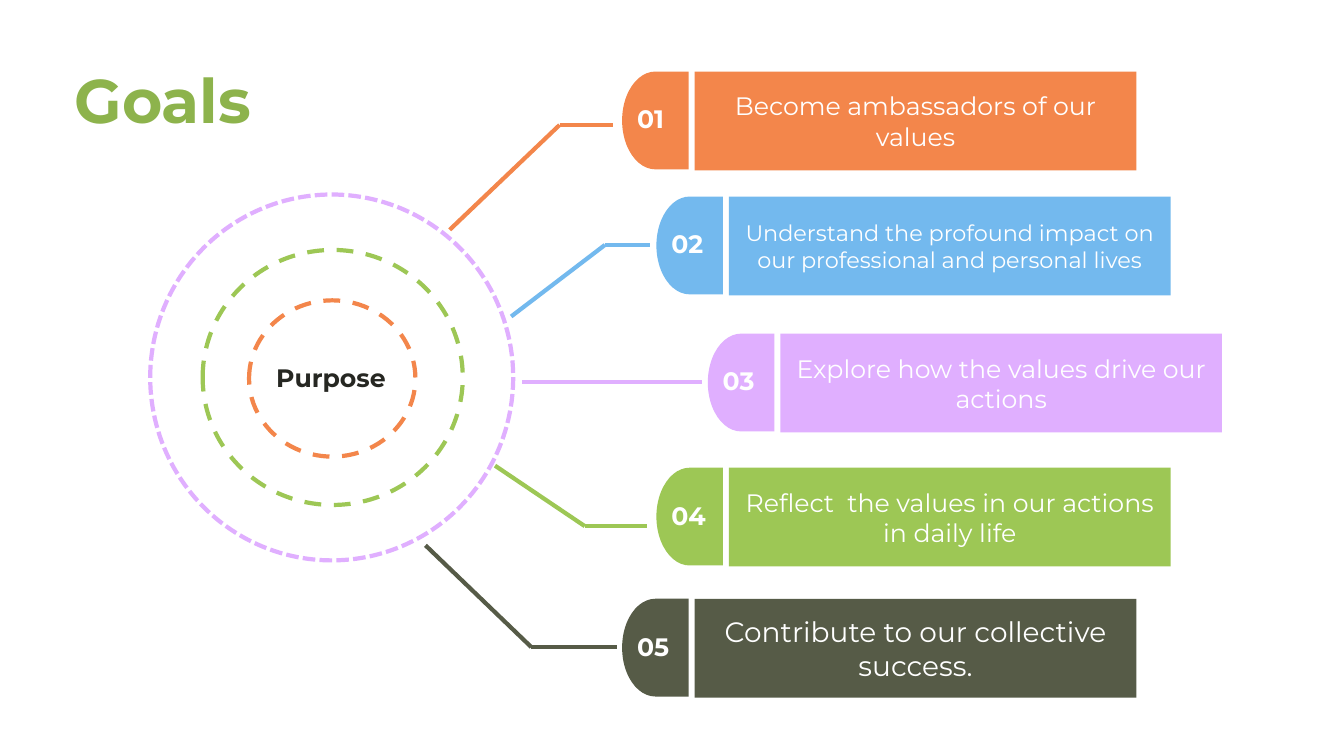
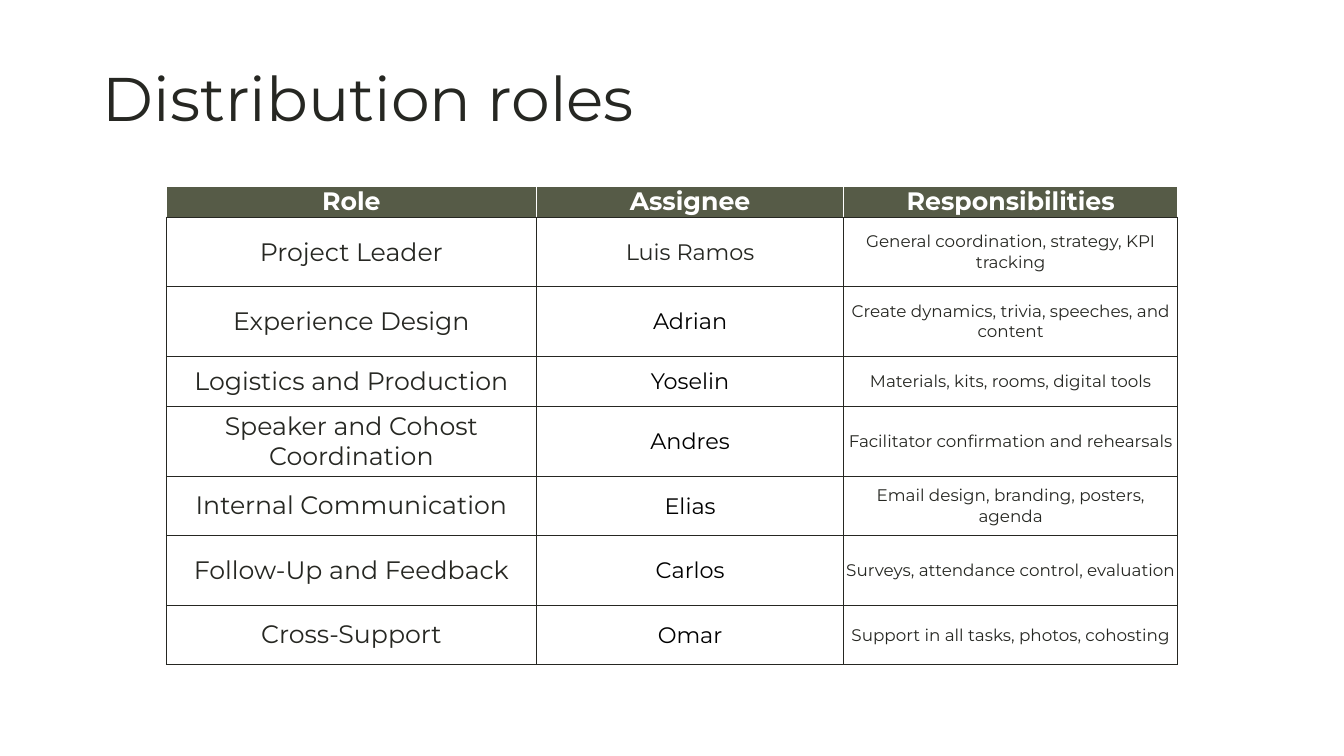
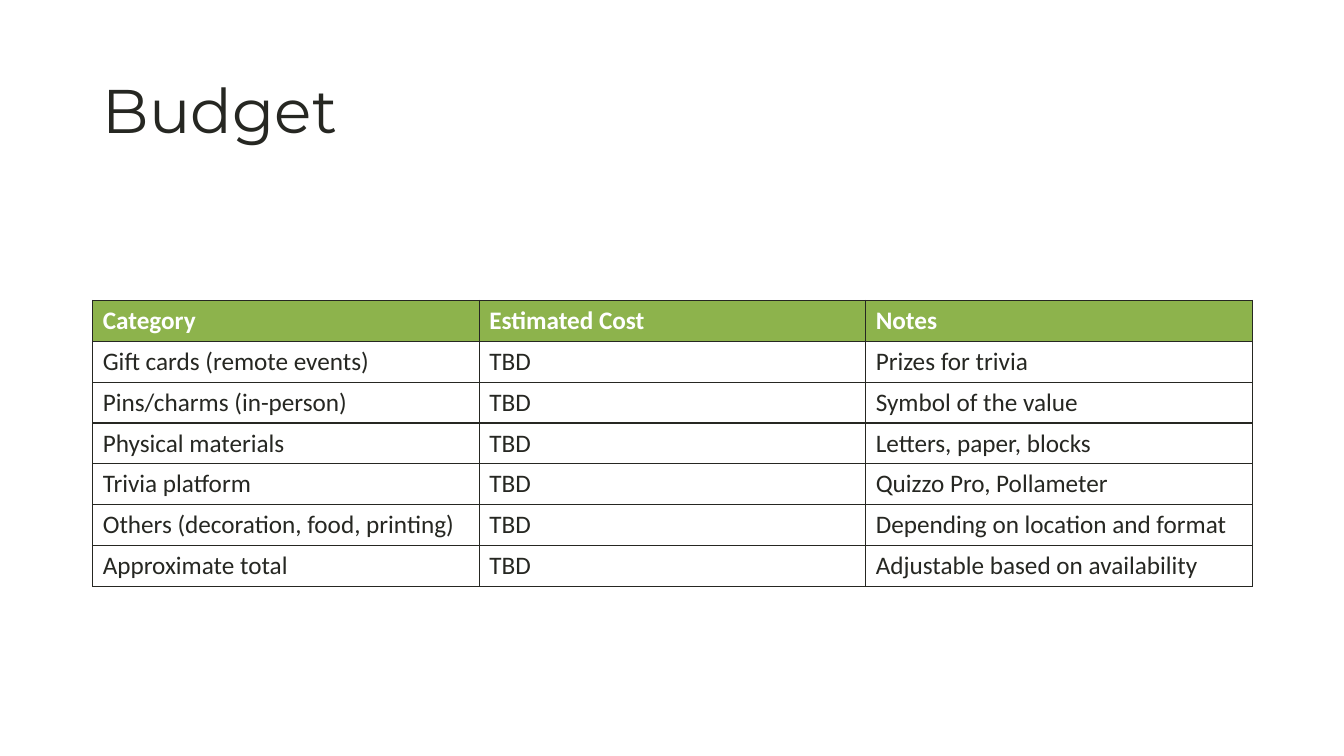
from dataclasses import dataclass
from itertools import pairwise

from lxml.etree import SubElement
from pptx import Presentation
from pptx.dml.color import RGBColor
from pptx.enum.dml import MSO_LINE
from pptx.enum.shapes import MSO_CONNECTOR, MSO_SHAPE
from pptx.enum.text import MSO_ANCHOR, MSO_AUTO_SIZE, PP_ALIGN
from pptx.oxml import parse_xml
from pptx.oxml.ns import nsdecls, qn
from pptx.util import Inches, Pt


@dataclass(frozen=True)
class Theme:
    heading_font: str = "Montserrat"
    table_font: str = "Calibri"
    ink: str = "262722"
    black: str = "000000"
    white: str = "FFFFFF"
    leaf: str = "8DB34C"
    orange: str = "F3864B"
    blue: str = "73B9EE"
    lilac: str = "E0AFFF"
    green: str = "9DC755"
    olive: str = "565B47"
    title_size: int = 44
    large_size: int = 20
    text_size: int = 18
    medium_size: int = 16
    small_size: int = 12
    stroke: int = 3
    border: int = 1


THEME = Theme()


class DeckBuilder:
    """Draw themed elements on the current slide of a deck."""

    def __init__(self, theme):
        self.theme = theme
        self.deck = Presentation()
        self.deck.slide_width = Inches(13.33)
        self.deck.slide_height = Inches(7.5)
        self.page = None

    def new_page(self, title, area, color=THEME.ink, bold=False, spacing=0.9):
        self.page = self.deck.slides.add_slide(self.deck.slide_layouts[5])
        box = self.page.shapes.title
        box.left, box.top, box.width, box.height = map(Inches, area)
        frame = box.text_frame
        frame.auto_size = MSO_AUTO_SIZE.NONE
        frame.vertical_anchor = MSO_ANCHOR.MIDDLE
        self.set_text(frame, title, self.theme.title_size, color, bold)
        frame.paragraphs[0].line_spacing = spacing

    def set_text(self, frame, text, size, color, bold=False,
                 align=PP_ALIGN.LEFT, font=THEME.heading_font):
        frame.text = text
        para = frame.paragraphs[0]
        para.alignment = align
        para.font.name = font
        para.font.size = Pt(size)
        para.font.bold = bold
        para.font.color.rgb = RGBColor.from_string(color)

    def shape(self, kind, area, fill):
        shape = self.page.shapes.add_shape(kind, *map(Inches, area))
        shape.shadow.inherit = False
        shape.fill.solid()
        shape.fill.fore_color.rgb = RGBColor.from_string(fill)
        shape.line.fill.background()
        return shape

    def ring(self, area, color, dash):
        ring = self.shape(MSO_SHAPE.OVAL, area, self.theme.white)
        ring.line.color.rgb = RGBColor.from_string(color)
        ring.line.width = Pt(self.theme.stroke)
        ring.line.dash_style = dash

    def label(self, text, area, color):
        box = self.page.shapes.add_textbox(*map(Inches, area))
        box.text_frame.word_wrap = False
        self.set_text(box.text_frame, text, self.theme.text_size, color, True)

    def polyline(self, points, color):
        for start, end in pairwise(points):
            line = self.page.shapes.add_connector(
                MSO_CONNECTOR.STRAIGHT, *map(Inches, start + end))
            line.line.color.rgb = RGBColor.from_string(color)
            line.line.width = Pt(self.theme.stroke)
            SubElement(line._element.spPr, qn("a:effectLst"))

    def goal(self, number, text, left, top, color, size, points):
        self.polyline(points, color)
        tab = self.shape(MSO_SHAPE.FLOWCHART_DELAY, (left, top, 0.66, 0.97), color)
        tab.rotation = 180
        bar = self.shape(MSO_SHAPE.RECTANGLE, (left + 0.72, top, 4.38, 0.98), color)
        bar.text_frame.word_wrap = True
        bar.text_frame.vertical_anchor = MSO_ANCHOR.MIDDLE
        self.set_text(bar.text_frame, text, size, self.theme.white,
                      align=PP_ALIGN.CENTER)
        self.label(f"{number:02}", (left + 0.05, top + 0.27, 0.6, 0.4), self.theme.white)

    def borders(self, cell, colors):
        properties = cell._tc.get_or_add_tcPr()
        for index, (side, color) in enumerate(zip("LRTB", colors)):
            properties.insert(index, parse_xml(
                f'<a:ln{side} {nsdecls("a")} w="{Pt(self.theme.border)}">'
                f'<a:solidFill><a:srgbClr val="{color}"/></a:solidFill></a:ln{side}>'))

    def table(self, rows, left, top, widths, heights, head_fill, head_edges,
              sizes, colors, font, align=PP_ALIGN.LEFT, inset=None):
        area = (left, top, sum(widths), sum(heights))
        table = self.page.shapes.add_table(
            len(rows), len(widths), *map(Inches, area)).table
        table.horz_banding = False
        for column, width in zip(table.columns, widths):
            column.width = Inches(width)
        for row, height in zip(table.rows, heights):
            row.height = Inches(height)
        for r, texts in enumerate(rows):
            for c, text in enumerate(texts):
                cell = table.cell(r, c)
                cell.vertical_anchor = MSO_ANCHOR.MIDDLE
                if inset is not None:
                    cell.margin_left = cell.margin_right = Inches(inset)
                    cell.margin_top = cell.margin_bottom = Inches(inset)
                if r == 0:
                    cell.fill.solid()
                    cell.fill.fore_color.rgb = RGBColor.from_string(head_fill)
                    size, color = self.theme.text_size, self.theme.white
                    edges = head_edges
                else:
                    cell.fill.background()
                    size, color = sizes[c], colors[c]
                    edges = [self.theme.ink] * 4
                self.set_text(cell.text_frame, text, size, color, r == 0, align, font)
                self.borders(cell, edges)
        return table


def goals_page(builder):
    theme = builder.theme
    builder.new_page("Goals", (0.64, 0.56, 3.81, 0.84), theme.leaf, True, 1.0)
    builder.ring((1.49, 1.93, 3.6, 3.63), theme.lilac, MSO_LINE.SQUARE_DOT)
    builder.ring((2.01, 2.48, 2.58, 2.53), theme.green, MSO_LINE.DASH)
    builder.ring((2.47, 2.98, 1.65, 1.55), theme.orange, MSO_LINE.DASH)
    builder.label("Purpose", (2.64, 3.55, 1.3, 0.4), theme.ink)
    goals = [
        ("Become ambassadors of our values", 6.17, 0.71, theme.orange,
         theme.text_size, [(4.46, 2.28), (5.55, 1.24), (6.08, 1.24)]),
        ("Understand the profound impact on our professional and personal lives",
         6.51, 1.95, theme.blue,
         theme.medium_size, [(5.07, 3.14), (6, 2.43), (6.45, 2.43)]),
        ("Explore how the values drive our actions", 7.02, 3.31, theme.lilac,
         theme.text_size, [(5.18, 3.79), (6.96, 3.79)]),
        ("Reflect  the values in our actions in daily life", 6.51, 4.64, theme.green,
         theme.text_size, [(4.91, 4.62), (5.8, 5.22), (6.42, 5.22)]),
        ("Contribute to our collective success.", 6.17, 5.94, theme.olive,
         theme.large_size, [(4.22, 5.41), (5.27, 6.42), (6.12, 6.42)]),
    ]
    for number, goal in enumerate(goals, 1):
        builder.goal(number, *goal)


def roles_page(builder):
    theme = builder.theme
    builder.new_page("Distribution roles", (0.92, 0.4, 11.5, 1.22))
    rows = [
        ("Role", "Assignee", "Responsibilities"),
        ("Project Leader", "Luis Ramos", "General coordination, strategy, KPI tracking"),
        ("Experience Design", "Adrian", "Create dynamics, trivia, speeches, and content"),
        ("Logistics and Production", "Yoselin", "Materials, kits, rooms, digital tools"),
        ("Speaker and Cohost Coordination", "Andres",
         "Facilitator confirmation and rehearsals"),
        ("Internal Communication", "Elias", "Email design, branding, posters, agenda"),
        ("Follow-Up and Feedback", "Carlos", "Surveys, attendance control, evaluation"),
        ("Cross-Support", "Omar", "Support in all tasks, photos, cohosting"),
    ]
    table = builder.table(
        rows, 1.65, 1.85, (3.67, 3.05, 3.31),
        (0.3, 0.69, 0.69, 0.5, 0.69, 0.59, 0.69, 0.59),
        theme.olive, [theme.white] * 3 + [theme.ink],
        (theme.text_size, theme.medium_size, theme.small_size),
        (theme.ink, theme.black, theme.ink),
        theme.heading_font, PP_ALIGN.CENTER, 0)
    leader = table.cell(1, 1).text_frame.paragraphs[0]
    leader.font.color.rgb = RGBColor.from_string(theme.ink)


def budget_page(builder):
    theme = builder.theme
    builder.new_page("Budget", (0.92, 0.4, 11.5, 1.45))
    notes = {
        "Gift cards (remote events)": "Prizes for trivia",
        "Pins/charms (in-person)": "Symbol of the value",
        "Physical materials": "Letters, paper, blocks",
        "Trivia platform": "Quizzo Pro, Pollameter",
        "Others (decoration, food, printing)": "Depending on location and format",
        "Approximate total": "Adjustable based on availability",
    }
    rows = [("Category", "Estimated Cost", "Notes")]
    rows += [(category, "TBD", note) for category, note in notes.items()]
    builder.table(
        rows, 0.92, 2.98, [11.5 / 3] * 3, [0.4] * len(rows),
        theme.leaf, [theme.ink] * 4,
        [theme.text_size] * 3, [theme.ink] * 3, theme.table_font)


def main():
    builder = DeckBuilder(THEME)
    goals_page(builder)
    roles_page(builder)
    budget_page(builder)
    builder.deck.save("out.pptx")


if __name__ == "__main__":
    main()
